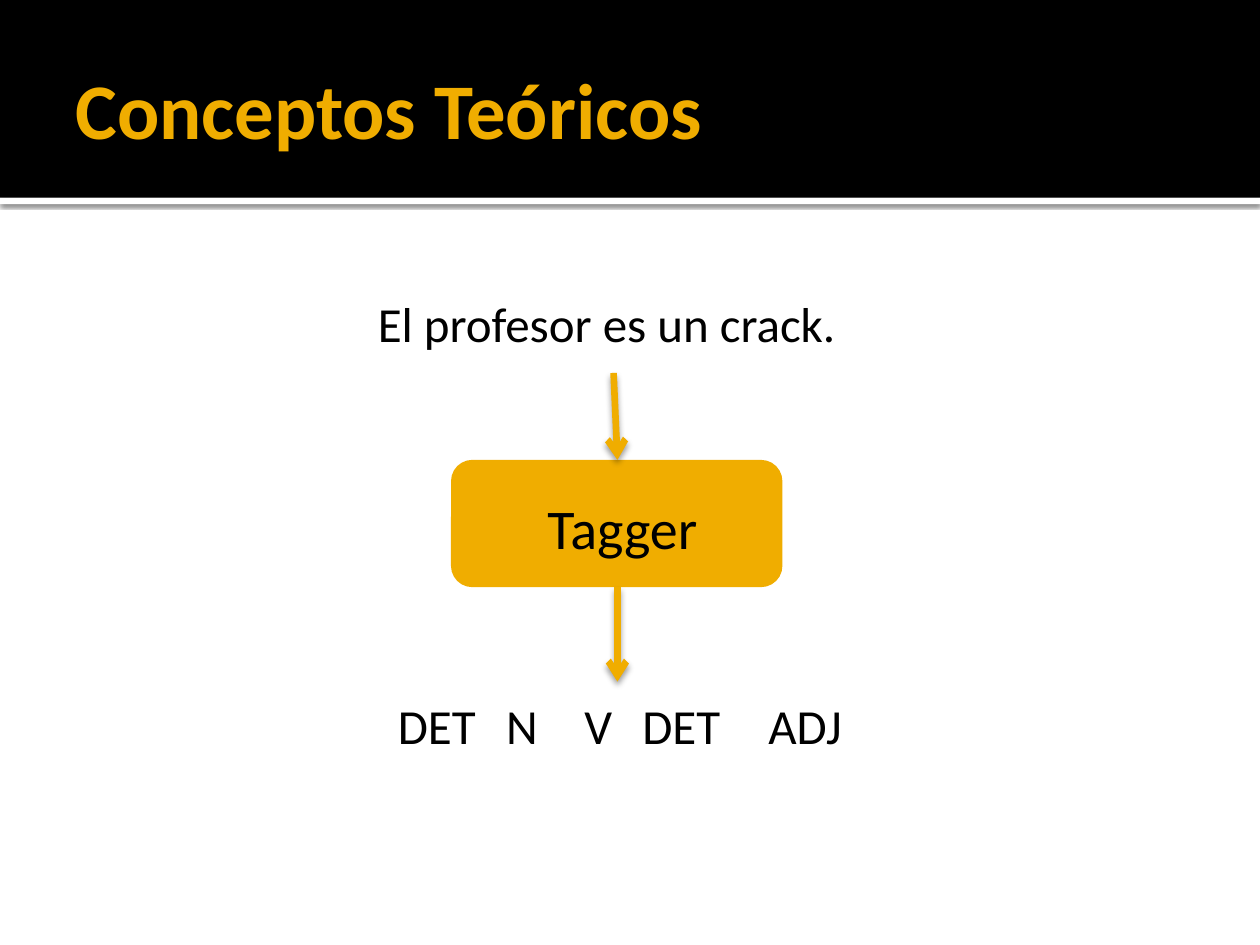
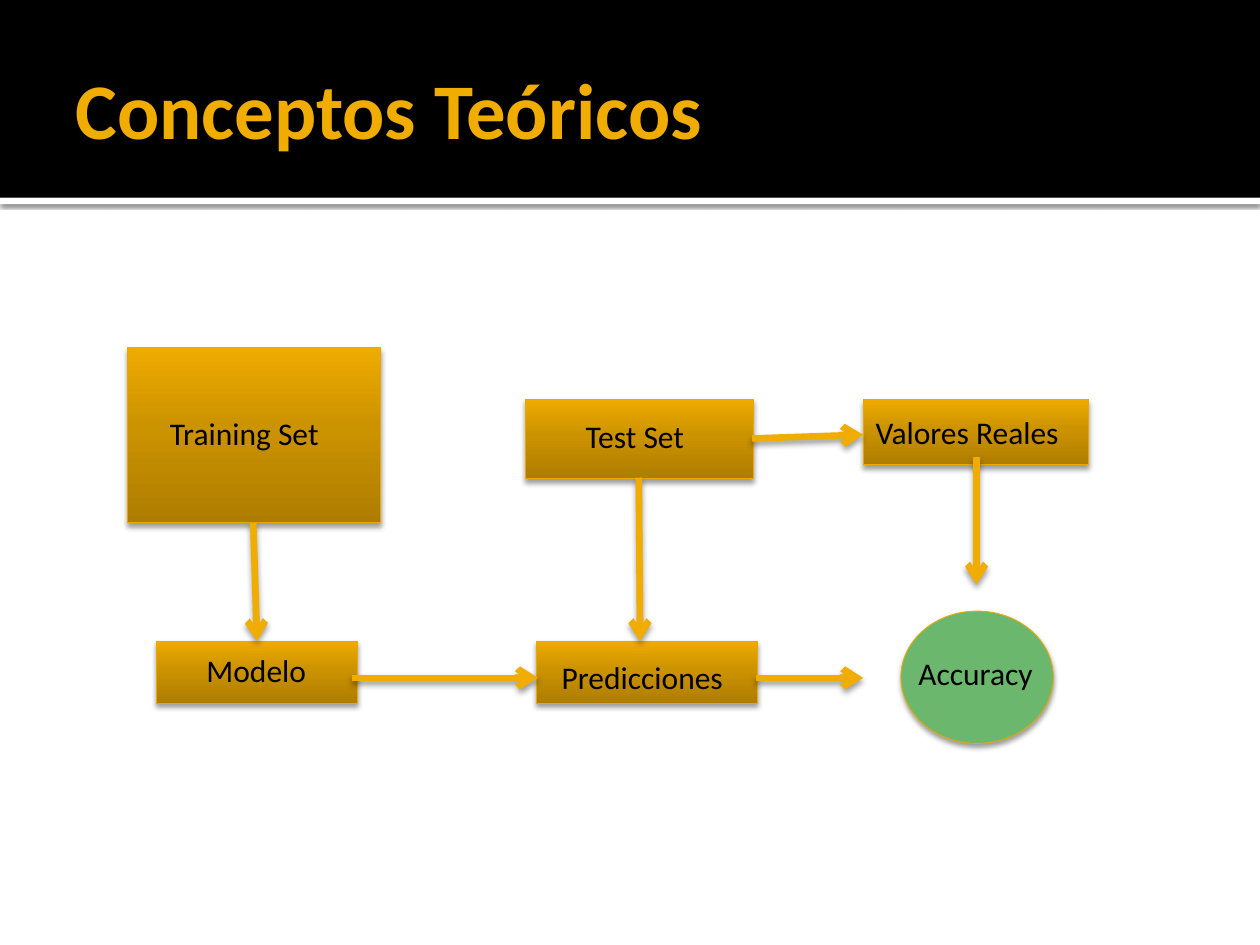
"""Build two slides on tagging and evaluating a model."""

import copy
from dataclasses import dataclass
from typing import Any, Optional

import lxml.etree
import pptx
import pptx.dml.color
import pptx.enum.shapes
import pptx.enum.text
import pptx.oxml.ns
import pptx.util

Inches = pptx.util.Inches
Pt = pptx.util.Pt
RGBColor = pptx.dml.color.RGBColor
Shapes = pptx.enum.shapes.MSO_SHAPE
Anchor = pptx.enum.text.MSO_ANCHOR
qn = pptx.oxml.ns.qn

BLACK = RGBColor(0x00, 0x00, 0x00)
WHITE = RGBColor(0xFF, 0xFF, 0xFF)
AMBER = RGBColor(0xF0, 0xAD, 0x00)
OUTLINE = RGBColor(0xEB, 0xA9, 0x00)
GREEN = RGBColor(0x6B, 0xB7, 0x6D)
GRADIENT = (
    (0, RGBColor(0xAE, 0x7D, 0x00)),
    (0.55, RGBColor(0xCC, 0x93, 0x00)),
    (1, RGBColor(0xEE, 0xAB, 0x00)),
)
FONT = "Calibri"


@dataclass(frozen=True)
class Shadow:
    """A black shadow falling straight down, in percent and points."""

    opacity: int
    blur: float
    distance: float


@dataclass(frozen=True)
class Box:
    """A preset shape; without a fill colour it takes the amber gradient."""

    left: float
    top: float
    width: float
    height: float
    fill: Optional[RGBColor] = None
    preset: Any = Shapes.RECTANGLE
    outline: Optional[RGBColor] = None
    shadow: Optional[Shadow] = None


@dataclass(frozen=True)
class Label:
    """A text box with its text style."""

    text: str
    left: float
    top: float
    width: float
    height: float = 0.4
    size: int = 18
    color: RGBColor = BLACK
    bold: bool = False


@dataclass(frozen=True)
class Arrow:
    """A straight arrow between two points."""

    start_x: float
    start_y: float
    end_x: float
    end_y: float


BAND_SHADOW = Shadow(60, 2.5, 0.8)
BOX_SHADOW = Shadow(38, 3.1, 2)
ARROW_SHADOW = Shadow(38, 3.5, 2)

HEADER_BANDS = (
    Box(0, 1.57, 10, 0.05, WHITE, shadow=BAND_SHADOW),
    Box(0, 0, 10, 1.57, BLACK),
)
TITLE = Label("Conceptos Teóricos", 0.5, 0.17, 9, 1.37, 45, AMBER, True)

TAGGER_BOX = Box(3.58, 3.65, 2.63, 1.01, AMBER, Shapes.ROUNDED_RECTANGLE)
TAGGER_ARROWS = (Arrow(4.87, 2.96, 4.9, 3.65), Arrow(4.9, 4.66, 4.9, 5.41))
SENTENCE = Label("El profesor es un crack.", 2.9, 2.28, 4, 0.57, 28)
TAGS = Label("DET\tN\tV\tDET\tADJ", 3.06, 5.47, 4, 0.57, 28)
TAG_STOPS = (0.86, 1.48, 1.94, 2.94)


def flow_box(left: float, top: float, width: float, height: float) -> Box:
    """Describe one gradient box of the evaluation flow."""
    return Box(left, top, width, height, outline=OUTLINE, shadow=BOX_SHADOW)


FLOW_BOXES = (
    flow_box(1.01, 2.76, 2.01, 1.39),
    flow_box(4.17, 3.17, 1.81, 0.63),
    flow_box(1.24, 5.09, 1.6, 0.49),
    flow_box(4.26, 5.09, 1.75, 0.49),
    flow_box(6.85, 3.17, 1.79, 0.52),
    Box(7.15, 4.85, 1.21, 1.05, GREEN, Shapes.OVAL, OUTLINE, BOX_SHADOW),
)
FLOW_ARROWS = (
    Arrow(2.01, 4.15, 2.04, 5.09),
    Arrow(5.07, 3.79, 5.08, 5.09),
    Arrow(2.79, 5.38, 4.27, 5.38),
    Arrow(5.97, 3.48, 6.85, 3.45),
    Arrow(6, 5.38, 6.85, 5.38),
    Arrow(7.75, 3.63, 7.75, 4.64),
)
FLOW_LABELS = (
    Label("Training Set", 1.25, 3.24, 1.6),
    Label("Test Set", 4.55, 3.26, 1.45),
    Label("Modelo", 1.54, 5.12, 1.58),
    Label("Predicciones", 4.36, 5.17, 1.64),
    Label("Valores Reales", 6.85, 3.23, 1.79),
    Label("Accuracy", 7.19, 5.14, 1.21),
)


def add_shadow(shape: Any, shadow: Optional[Shadow]) -> None:
    """Replace the theme effects by the given shadow, or by none."""
    effects = lxml.etree.SubElement(shape._element.spPr, qn("a:effectLst"))
    if shadow is None:
        return
    outer = lxml.etree.SubElement(
        effects,
        qn("a:outerShdw"),
        blurRad=str(Pt(shadow.blur)),
        dist=str(Pt(shadow.distance)),
        dir="5400000",
        algn="ctr",
        rotWithShape="0",
    )
    color = lxml.etree.SubElement(outer, qn("a:srgbClr"), val=str(BLACK))
    lxml.etree.SubElement(color, qn("a:alpha"), val=str(shadow.opacity * 1000))


def fill_gradient(shape: Any) -> None:
    """Fill a shape with the amber gradient, darkest at the bottom."""
    shape.fill.gradient()
    shape.fill.gradient_angle = 90
    stop_list = shape._element.spPr.find(".//" + qn("a:gsLst"))
    stop_list.insert(1, copy.deepcopy(stop_list[0]))
    for stop, (position, color) in zip(shape.fill.gradient_stops, GRADIENT):
        stop.position = position
        stop.color.rgb = color


def add_box(slide: Any, box: Box) -> Any:
    """Draw a preset shape."""
    shape = slide.shapes.add_shape(
        box.preset,
        Inches(box.left),
        Inches(box.top),
        Inches(box.width),
        Inches(box.height),
    )
    if box.fill is None:
        fill_gradient(shape)
    else:
        shape.fill.solid()
        shape.fill.fore_color.rgb = box.fill
    if box.outline is None:
        shape.line.fill.background()
    else:
        shape.line.color.rgb = box.outline
        shape.line.width = Pt(0.5)
    add_shadow(shape, box.shadow)
    return shape


def add_arrow(slide: Any, arrow: Arrow) -> None:
    """Draw an amber arrow with a shadow."""
    connector = slide.shapes.add_connector(
        pptx.enum.shapes.MSO_CONNECTOR.STRAIGHT,
        Inches(arrow.start_x),
        Inches(arrow.start_y),
        Inches(arrow.end_x),
        Inches(arrow.end_y),
    )
    connector.line.color.rgb = AMBER
    connector.line.width = Pt(3.78)
    line = connector.line._get_or_add_ln()
    lxml.etree.SubElement(line, qn("a:tailEnd"), type="arrow")
    add_shadow(connector, ARROW_SHADOW)


def format_runs(paragraph: Any, size: int, color: RGBColor, bold: bool) -> None:
    """Give every run of a paragraph its font."""
    for run in paragraph.runs:
        run.font.name = FONT
        run.font.size = Pt(size)
        run.font.bold = bold
        run.font.color.rgb = color


def add_label(slide: Any, label: Label) -> Any:
    """Draw a text box."""
    shape = slide.shapes.add_textbox(
        Inches(label.left),
        Inches(label.top),
        Inches(label.width),
        Inches(label.height),
    )
    shape.text_frame.word_wrap = True
    shape.text_frame.text = label.text
    format_runs(shape.text_frame.paragraphs[0], label.size, label.color, label.bold)
    return shape


def add_tab_stops(paragraph: Any, positions: tuple[float, ...]) -> None:
    """Set left tab stops on a paragraph."""
    properties = paragraph._p.get_or_add_pPr()
    tabs = lxml.etree.SubElement(properties, qn("a:tabLst"))
    for position in positions:
        lxml.etree.SubElement(tabs, qn("a:tab"), pos=str(Inches(position)), algn="l")


def add_titled_slide(presentation: Any) -> Any:
    """Add a slide with the header bands and the title."""
    slide = presentation.slides.add_slide(presentation.slide_layouts[6])
    for band in HEADER_BANDS:
        add_box(slide, band)
    text_frame = add_label(slide, TITLE).text_frame
    text_frame.vertical_anchor = Anchor.MIDDLE
    text_frame.margin_right = Inches(0.05)
    return slide


def build_tagger_slide(presentation: Any) -> None:
    """Show a sentence passing through the tagger."""
    slide = add_titled_slide(presentation)
    text_frame = add_box(slide, TAGGER_BOX).text_frame
    text_frame.vertical_anchor = Anchor.MIDDLE
    text_frame.margin_left = Inches(0.06)
    text_frame.margin_top = Inches(0.1)
    text_frame.text = "Tagger"
    paragraph = text_frame.paragraphs[0]
    paragraph.alignment = pptx.enum.text.PP_ALIGN.CENTER
    paragraph._p.get_or_add_pPr().set("marL", str(Inches(0.13)))
    format_runs(paragraph, 32, BLACK, False)
    for arrow in TAGGER_ARROWS:
        add_arrow(slide, arrow)
    add_label(slide, SENTENCE)
    tags = add_label(slide, TAGS)
    add_tab_stops(tags.text_frame.paragraphs[0], TAG_STOPS)


def build_evaluation_slide(presentation: Any) -> None:
    """Show the flow from the data sets to the accuracy."""
    slide = add_titled_slide(presentation)
    for box in FLOW_BOXES:
        add_box(slide, box)
    for arrow in FLOW_ARROWS:
        add_arrow(slide, arrow)
    for label in FLOW_LABELS:
        add_label(slide, label)


def main() -> None:
    """Build and save the presentation."""
    presentation = pptx.Presentation()
    presentation.slide_width = Inches(10)
    presentation.slide_height = Inches(7.5)
    build_tagger_slide(presentation)
    build_evaluation_slide(presentation)
    presentation.save("out.pptx")


if __name__ == "__main__":
    main()
